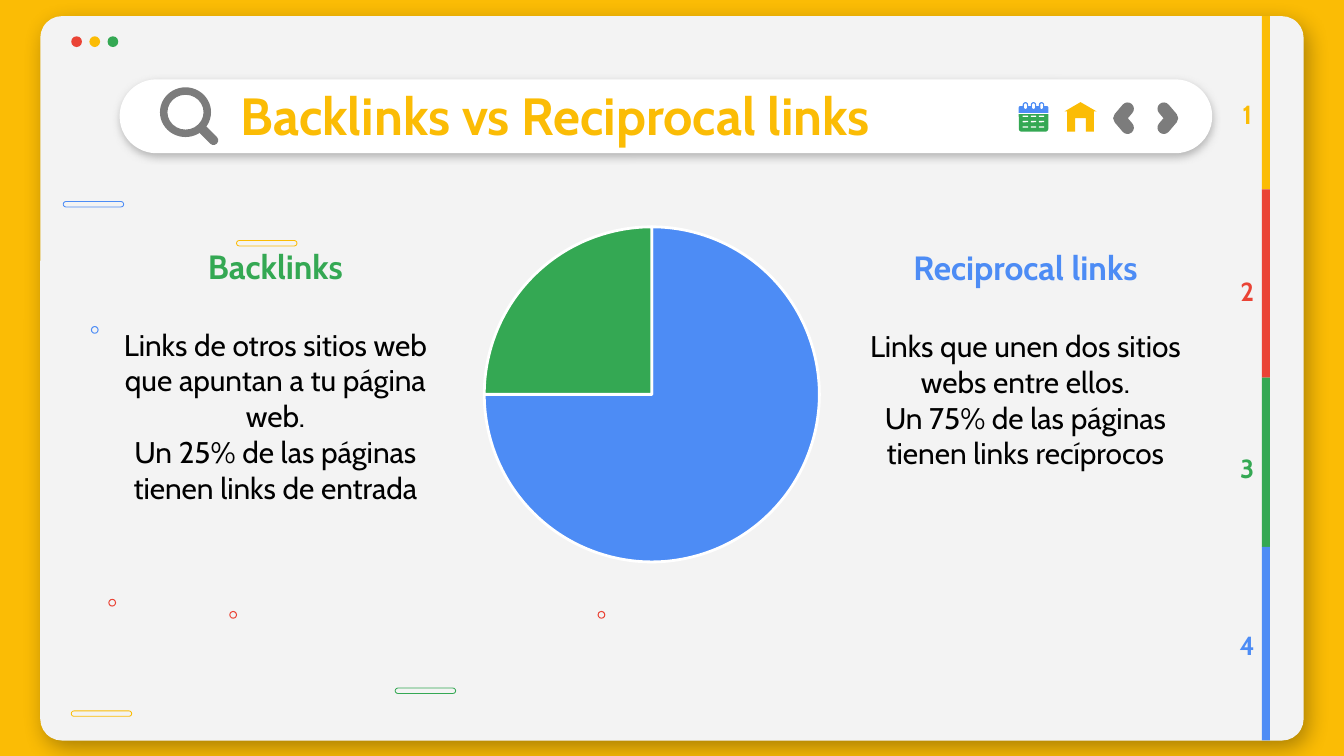
"""Build the slide comparing backlinks with reciprocal links."""
from lxml import etree
from pptx import Presentation
from pptx.chart.data import CategoryChartData
from pptx.dml.color import RGBColor
from pptx.enum.chart import XL_CHART_TYPE
from pptx.enum.shapes import MSO_SHAPE
from pptx.enum.text import MSO_ANCHOR, MSO_AUTO_SIZE, PP_ALIGN
from pptx.oxml import parse_xml
from pptx.oxml.ns import qn
from pptx.util import Inches, Pt

OVAL, RECT, ROUND = MSO_SHAPE.OVAL, MSO_SHAPE.RECTANGLE, MSO_SHAPE.ROUNDED_RECTANGLE
DONUT, ROUND_TOP = MSO_SHAPE.DONUT, MSO_SHAPE.ROUND_2_SAME_RECTANGLE
PIE = XL_CHART_TYPE.PIE
CENTER, LEFT = PP_ALIGN.CENTER, PP_ALIGN.LEFT
MIDDLE, GROW, FIXED = MSO_ANCHOR.MIDDLE, MSO_AUTO_SIZE.SHAPE_TO_FIT_TEXT, MSO_AUTO_SIZE.NONE
YELLOW, RED, GREEN, BLUE = "FBBC05", "EA4335", "34A853", "4D8CF5"
GREY, WHITE, PAPER, BLACK = "7C7C7C", "FFFFFF", "F3F3F3", "000000"
HUNDREDTH = Inches(0.01)
rgb = RGBColor.from_string


def draw(parent, kind, box, fill=None, line=None, width=0.5):
    """Add a preset shape with a plain fill or outline."""
    shape = parent.add_shape(kind, *[Inches(v) for v in box])
    shape.shadow.inherit = False
    if fill:
        shape.fill.solid()
        shape.fill.fore_color.rgb = rgb(fill)
    else:
        shape.fill.background()
    if line:
        shape.line.color.rgb = rgb(line)
        shape.line.width = Pt(width)
    else:
        shape.line.fill.background()
    return shape


def write(paragraph, text, size, color, bold=False, align=CENTER):
    """Add one formatted run to a paragraph."""
    paragraph.alignment = align
    run = paragraph.add_run()
    run.text = text
    run.font.name = "Cabin"
    run.font.size = Pt(size)
    run.font.bold = bold
    run.font.color.rgb = rgb(color)


prs = Presentation()
prs.slide_width = Inches(10)
prs.slide_height = prs.slide_width * 9 // 16
slide = prs.slides.add_slide(prs.slide_layouts[5])
shapes = slide.shapes
slide.background.fill.solid()
slide.background.fill.fore_color.rgb = rgb(YELLOW)

window = draw(shapes, ROUND, (0.3, 0.12, 9.4, 5.39), PAPER)
window.adjustments[0] = 0.03
search_bar = draw(shapes, ROUND, (0.89, 0.59, 8.13, 0.55), WHITE)
search_bar.adjustments[0] = 0.5
for panel, color, alpha, blur, distance, angle in [
    (window, BLACK, 32, 12.4, 5.2, 57),
    (search_bar, GREY, 50, 4.5, 1.5, 90),
]:
    effects = panel._element.spPr.find(qn("a:effectLst"))
    effects.append(parse_xml(
        '<a:outerShdw xmlns:a="http://schemas.openxmlformats.org/drawingml/2006/main" '
        f'blurRad="{Pt(blur)}" dist="{Pt(distance)}" dir="{angle * 60000}" '
        f'algn="bl" rotWithShape="0"><a:srgbClr val="{color}">'
        f'<a:alpha val="{alpha * 1000}"/></a:srgbClr></a:outerShdw>'))

for i, color in enumerate([RED, YELLOW, GREEN]):
    draw(shapes, OVAL, (0.53 + 0.135 * i, 0.27, 0.08, 0.08), color)

lens = draw(shapes, DONUT, (1.19, 0.65, 0.38, 0.37), GREY)
lens.adjustments[0] = 0.15
handle = draw(shapes, ROUND, (1.46, 0.97, 0.18, 0.07), GREY)
handle.adjustments[0] = 0.5
handle.rotation = 45

for x, y, color in [(1.71, 4.55, RED), (4.45, 4.55, RED), (0.81, 4.46, RED), (0.68, 2.43, BLUE)]:
    draw(shapes, OVAL, (x, y, 0.05, 0.05), line=color, width=0.55)
for x, y, color in [(1.76, 1.79, YELLOW), (2.94, 5.12, GREEN), (0.53, 5.29, YELLOW), (0.47, 1.5, BLUE)]:
    pill = draw(shapes, ROUND, (x, y, 0.45, 0.04), line=color, width=0.44)
    pill.adjustments[0] = 0.5

title = shapes.title
title._element.getparent().append(title._element)
title.left, title.top, title.width, title.height = [Inches(v) for v in (1.69, 0.59, 7.09, 0.52)]
title.text_frame.auto_size = FIXED
title.text_frame.vertical_anchor = MIDDLE
write(title.text_frame.paragraphs[0], "Backlinks vs Reciprocal links", 28, YELLOW, True, LEFT)

tab_edges = [0.12, 1.41, 2.81, 4.07, 5.51]
for i, color in enumerate([YELLOW, RED, GREEN, BLUE]):
    draw(shapes, RECT, (9.39, tab_edges[i], 0.06, tab_edges[i + 1] - tab_edges[i]), color)
    number = shapes.add_textbox(Inches(9.04), Inches(0.72 + 3.95 / 3 * i), Inches(0.48), Inches(0.26))
    number.text_frame.word_wrap = True
    number.text_frame.vertical_anchor = MIDDLE
    write(number.text_frame.paragraphs[0], str(i + 1), 14, color, True)

calendar = shapes.add_group_shape().shapes
page = draw(calendar, ROUND_TOP, (7.58, 0.85, 0.22, 0.13), GREEN)
page.rotation = 180
draw(calendar, ROUND_TOP, (7.58, 0.79, 0.22, 0.05), BLUE)
for column in range(3):
    x = 7.61 + 0.06 * column
    draw(calendar, ROUND, (x, 0.76, 0.04, 0.06), BLUE).adjustments[0] = 0.5
    draw(calendar, ROUND, (x + 0.01, 0.77, 0.02, 0.04), WHITE).adjustments[0] = 0.5
    for row in range(3):
        draw(calendar, ROUND, (x, 0.86 + 0.04 * row, 0.04, 0.01), WHITE)

house_outline = [(804, 76), (816, 83), (814, 83), (814, 98), (808, 98), (808, 88),
                 (800, 88), (800, 98), (794, 98), (794, 83), (792, 83)]
house_pen = shapes.build_freeform(*house_outline[0], scale=HUNDREDTH)
house_pen.add_line_segments(house_outline[1:])
house = house_pen.convert_to_shape()
house.shadow.inherit = False
house.fill.solid()
house.fill.fore_color.rgb = rgb(YELLOW)
house.line.fill.background()

for tip, back in [(833, 839), (872, 866)]:
    arrow_pen = shapes.build_freeform(back, 81, scale=HUNDREDTH)
    arrow_pen.add_line_segments([(tip, 88), (back, 95)], close=False)
    arrow = arrow_pen.convert_to_shape()
    arrow.shadow.inherit = False
    arrow.fill.background()
    arrow.line.color.rgb = rgb(GREY)
    arrow.line.width = Pt(6.8)
    stroke = arrow._element.spPr.find(qn("a:ln"))
    stroke.set("cap", "rnd")
    etree.SubElement(stroke, qn("a:round"))

link_shares = CategoryChartData()
link_shares.categories = ["1", "2"]
link_shares.add_series("Series 1", [75, 25])
pie = shapes.add_chart(PIE, Inches(2.58), Inches(1.55), Inches(4.54), Inches(2.77), link_shares).chart
pie.has_title = False
pie.has_legend = False
pie.font.name = "Arial"
pie.font.size = Pt(10)
pie.font.color.rgb = rgb(GREY)
pie.plots[0].vary_by_categories = True
for i, color in enumerate([BLUE, GREEN]):
    wedge = pie.plots[0].series[0].points[i].format
    wedge.fill.solid()
    wedge.fill.fore_color.rgb = rgb(color)
    wedge.line.color.rgb = rgb(WHITE)
    wedge.line.width = Pt(1.5)

for x, y, height, heading, color, sentences in [
    (0.66, 1.78, 2.32, "Backlinks", GREEN,
     ["Links de otros sitios web que apuntan a tu página web.",
      "Un 25% de las páginas tienen links de entrada"]),
    (6.24, 1.79, 2.05, "Reciprocal links", BLUE,
     ["Links que unen dos sitios webs entre ellos.",
      "Un 75% de las páginas tienen links recíprocos"]),
]:
    column_text = shapes.add_textbox(Inches(x), Inches(y), Inches(2.78), Inches(height)).text_frame
    column_text.word_wrap = True
    column_text.auto_size = GROW
    column_text.paragraphs[0].space_after = Pt(21.5)
    write(column_text.paragraphs[0], heading, 18, color, True)
    for sentence in sentences:
        write(column_text.add_paragraph(), sentence, 16, BLACK)

prs.save("out.pptx")
